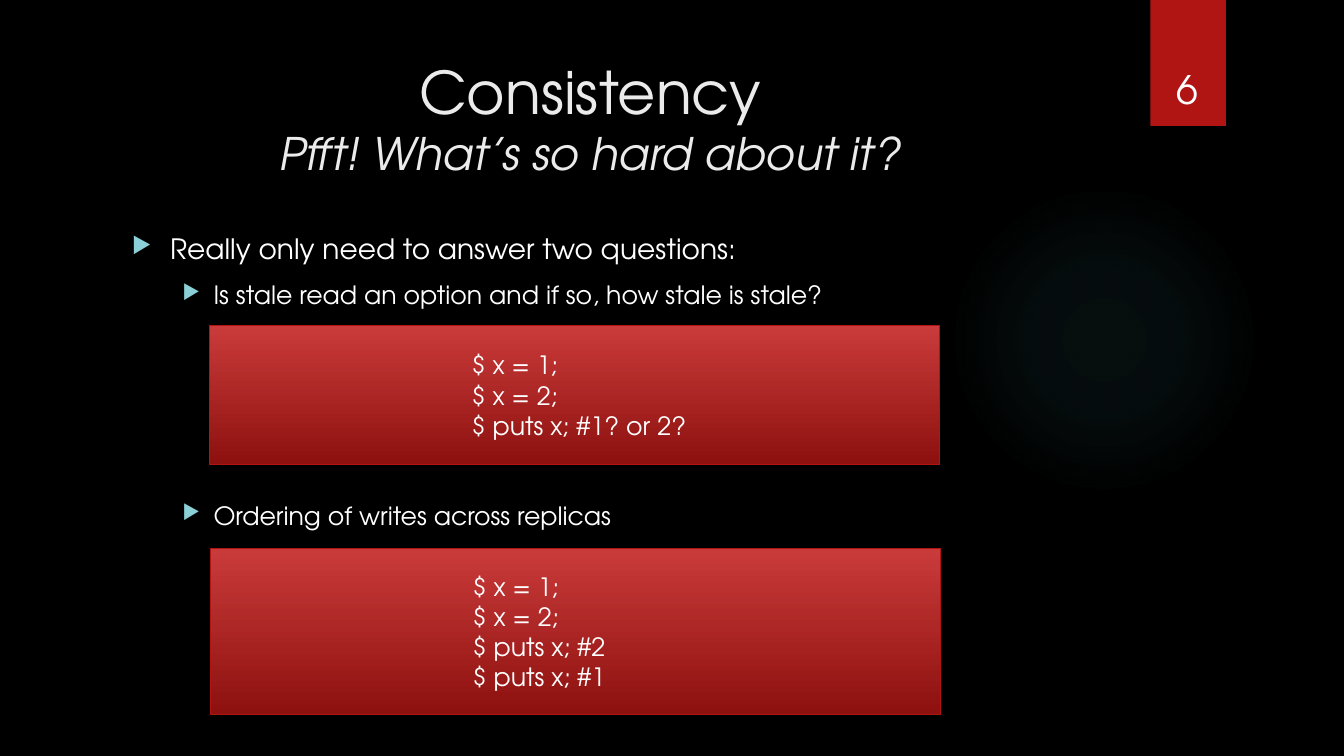
from lxml import etree
from pptx import Presentation
from pptx.dml.color import RGBColor
from pptx.enum.shapes import MSO_SHAPE
from pptx.enum.text import MSO_ANCHOR, MSO_AUTO_SIZE, PP_ALIGN
from pptx.oxml import parse_xml
from pptx.oxml.ns import nsdecls, qn
from pptx.util import Inches, Pt

RECTANGLE, OVAL = MSO_SHAPE.RECTANGLE, MSO_SHAPE.OVAL
TOP, MIDDLE, BOTTOM = MSO_ANCHOR.TOP, MSO_ANCHOR.MIDDLE, MSO_ANCHOR.BOTTOM
LEFT, CENTER = PP_ALIGN.LEFT, PP_ALIGN.CENTER
FIXED_SIZE = MSO_AUTO_SIZE.NONE

FONT = "TeX Gyre Adventor"
WHITE, TITLE_GREY, RED = "FFFFFF", "EBEBEB", "B01513"
BULLET_COLOR, GLOW = "8AD0D6", "50B9C1"
RADIAL = ('<a:path path="circle">'
          '<a:fillToRect l="50000" t="50000" r="50000" b="50000"/></a:path>')
DOWNWARD = '<a:lin ang="5400000" scaled="0"/>'

# text, size, left indent, hanging indent, space before in points
QUESTIONS = [
    ("Really only need to answer two questions:", 20, 0.38, 0.38, 0),
    ("Is stale read an option and if so, how stale is stale?", 18, 0.81, 0.31, 10),
    ("Ordering of writes across replicas", 18, 0.81, 0.31, 136),
]
CODE_BOXES = [
    ((2.08, 3.23, 7.24, 1.38), ["$ x = 1;", "$ x = 2;", "$ puts x; #1? or 2?"]),
    ((2.09, 5.44, 7.24, 1.65), ["$ x = 1;", "$ x = 2;", "$ puts x; #2", "$ puts x; #1"]),
]


def color(hex_value):
    return RGBColor.from_string(hex_value)


def set_values(target, values):
    for name, value in values.items():
        setattr(target, name, value)


def add_span(para, text, size, hex_color=WHITE, italic=False):
    span = para.add_run()
    span.text = text
    set_values(span.font, {"name": FONT, "size": Pt(size), "italic": italic})
    span.font.color.rgb = color(hex_color)


def set_frame(frame, anchor):
    set_values(frame, {"word_wrap": True, "auto_size": FIXED_SIZE,
                       "vertical_anchor": anchor})


def next_para(frame, index):
    return frame.add_paragraph() if index else frame.paragraphs[0]


def indent(para, left, hanging=0):
    properties = para._p.get_or_add_pPr()
    properties.set("marL", str(Inches(left)))
    properties.set("indent", str(-Inches(hanging)))
    return properties


def add_bullet(properties):
    size = etree.SubElement(properties, qn("a:buClr"))
    etree.SubElement(size, qn("a:srgbClr"), val=BULLET_COLOR)
    etree.SubElement(properties, qn("a:buSzPct"), val="80000")
    etree.SubElement(properties, qn("a:buChar"), char="▶")


def add_plain_shape(slide, kind, area):
    shape = slide.shapes.add_shape(kind, *map(Inches, area))
    shape.shadow.inherit = False
    shape.line.fill.background()
    return shape


def fill_gradient(shape, stops, direction):
    """Fill with stops of (position %, colour, opacity %)."""
    stop_xml = "".join(
        f'<a:gs pos="{position * 1000}"><a:srgbClr val="{hex_color}">'
        f'<a:alpha val="{opacity * 1000}"/></a:srgbClr></a:gs>'
        for position, hex_color, opacity in stops)
    gradient = parse_xml(f'<a:gradFill {nsdecls("a")} rotWithShape="1">'
                         f'<a:gsLst>{stop_xml}</a:gsLst>{direction}</a:gradFill>')
    shape._element.spPr.find(qn("a:prstGeom")).addnext(gradient)


def add_backdrop(slide):
    background = slide.background.fill
    background.solid()
    background.fore_color.rgb = color("000000")
    glow = add_plain_shape(slide, OVAL, (9.41, 1.83, 3.08, 3.08))
    fill_gradient(glow, [(0, GLOW, 7), (36, GLOW, 6), (69, GLOW, 0)], RADIAL)
    ribbon = add_plain_shape(slide, RECTANGLE, (11.41, 0, 0.75, 1.25))
    ribbon.fill.solid()
    ribbon.fill.fore_color.rgb = color(RED)


def add_title(slide):
    title = slide.shapes.title
    set_values(title, {"left": Inches(0.71), "top": Inches(0.5),
                       "width": Inches(10.29), "height": Inches(1.53)})
    set_frame(title.text_frame, TOP)
    para = title.text_frame.paragraphs[0]
    para.alignment = CENTER
    add_span(para, "Consistency", 42, TITLE_GREY)
    para.add_line_break()
    add_span(para, "Pfft! What’s so hard about it?", 32, TITLE_GREY, italic=True)


def add_questions(slide):
    box = slide.shapes.add_textbox(*map(Inches, (1.21, 2.25, 9.78, 4.59)))
    set_frame(box.text_frame, TOP)
    for index, (text, size, left, hanging, before) in enumerate(QUESTIONS):
        para = next_para(box.text_frame, index)
        para.level = min(index, 1)
        add_bullet(indent(para, left, hanging))
        para.space_before = Pt(before)
        add_span(para, text, size)


def add_page_number(slide):
    box = slide.shapes.add_textbox(*map(Inches, (11.32, 0.32, 0.92, 0.84)))
    set_frame(box.text_frame, BOTTOM)
    para = box.text_frame.paragraphs[0]
    para.alignment = CENTER
    add_span(para, "6", 28)


def add_code_box(slide, area, lines):
    box = add_plain_shape(slide, RECTANGLE, area)
    fill_gradient(box, [(0, "C93B3A", 100), (100, "8D110F", 100)], DOWNWARD)
    box.line.color.rgb = color(RED)
    box.line.width = Pt(0.75)
    set_frame(box.text_frame, MIDDLE)
    for index, line in enumerate(lines):
        para = next_para(box.text_frame, index)
        para.alignment = LEFT
        indent(para, 2.5)
        add_span(para, line, 18)


def main():
    deck = Presentation()
    set_values(deck, {"slide_width": Inches(13.33), "slide_height": Inches(7.5)})
    slide = deck.slides.add_slide(deck.slide_layouts.get_by_name("Title Only"))
    add_backdrop(slide)
    add_title(slide)
    add_questions(slide)
    add_page_number(slide)
    for area, lines in CODE_BOXES:
        add_code_box(slide, area, lines)
    deck.save("out.pptx")


if __name__ == "__main__":
    main()
